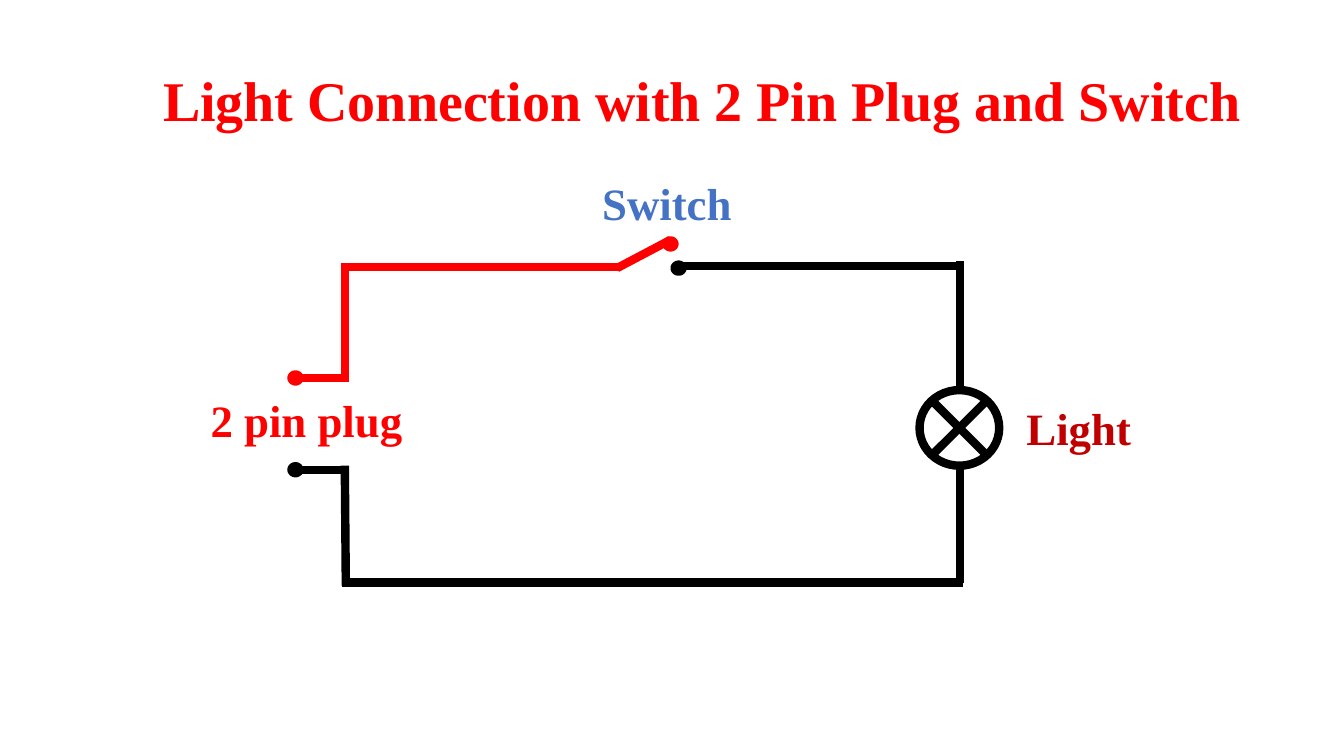
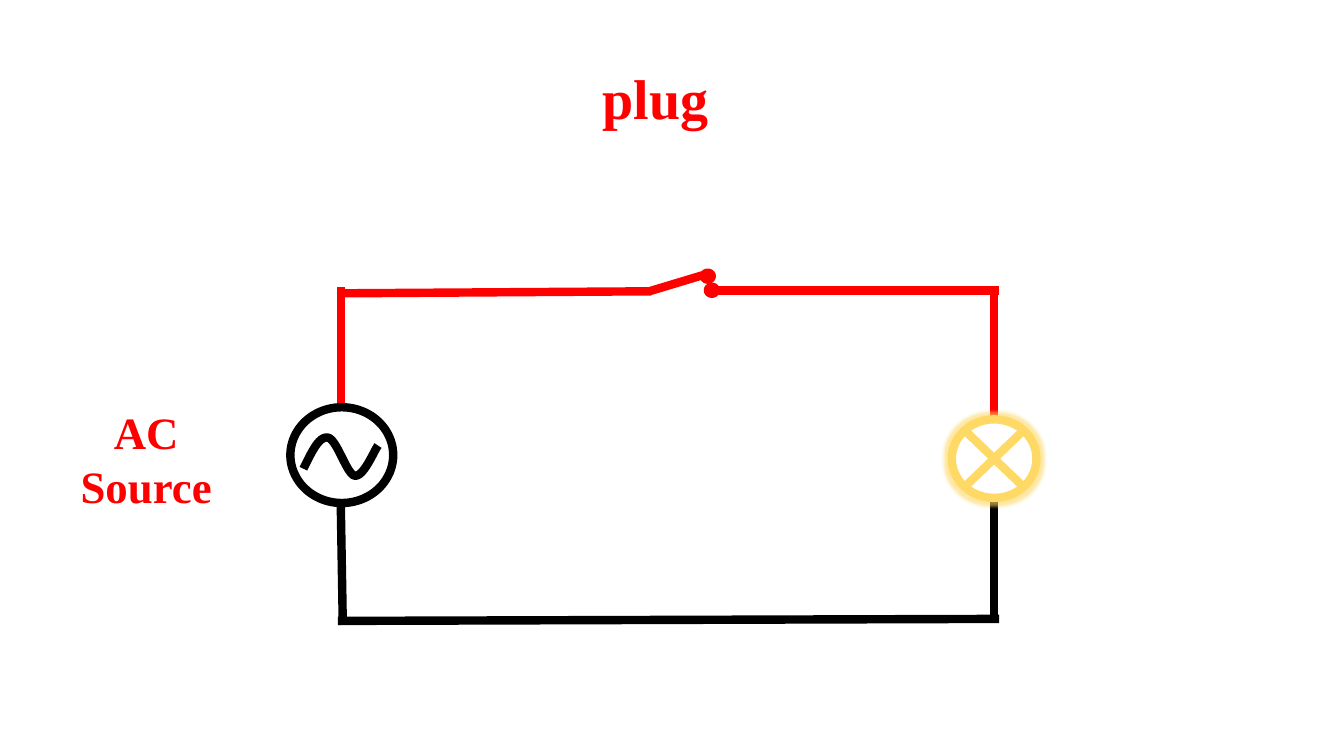
"""Builds two slides of simple light circuit diagrams."""
from lxml import etree
from pptx import Presentation
from pptx.dml.color import RGBColor
from pptx.enum.shapes import MSO_CONNECTOR, MSO_SHAPE
from pptx.enum.text import MSO_ANCHOR, MSO_AUTO_SIZE, PP_ALIGN
from pptx.oxml import parse_xml
from pptx.oxml.ns import nsdecls, qn
from pptx.util import Pt

LINE, OVAL = MSO_CONNECTOR.STRAIGHT, MSO_SHAPE.OVAL
TOP, MIDDLE = MSO_ANCHOR.TOP, MSO_ANCHOR.MIDDLE
FIXED, CENTER = MSO_AUTO_SIZE.NONE, PP_ALIGN.CENTER
PX = 9144
FONT = "Times New Roman"
RED, BLACK, WHITE, GOLD = "FF0000", "000000", "FFFFFF", "FFD966"
BLUE, DARK = "4472C4", "C00000"
DOT_W, DOT_H = 8, 7
CROSS_X, CROSS_Y = 15, 13

SLIDES = [
    {
        "title": ("Light Connection with 2 Pin Plug and Switch", 123, 68, 1146, 81, 0.9),
        "wires": [
            (RED, 342, 261, 342, 379), (RED, 339, 265, 616, 265),
            (BLACK, 342, 462, 343, 581), (BLACK, 339, 578, 955, 578),
            (BLACK, 952, 462, 952, 578), (BLACK, 952, 259, 952, 387),
            (RED, 294, 375, 345, 375), (BLACK, 294, 466, 345, 466),
            (RED, 612, 266, 665, 238), (BLACK, 673, 264, 954, 264),
        ],
        "dots": [(BLACK, 293, 466), (RED, 293, 375), (RED, 665, 242), (BLACK, 673, 266)],
        "lamp": (BLACK, 912, 387, 79, 75),
        "labels": [
            ("Light", DARK, 1005, 393, 130, 64),
            ("2 pin plug", RED, 198, 385, 212, 64),
            ("Switch", BLUE, 580, 169, 163, 64),
        ],
    },
    {
        "title": ("plug", 281, 58, 738, 77, 1.0),
        "wires": [
            (RED, 338, 285, 338, 400), (RED, 644, 289, 697, 273),
            (RED, 711, 288, 991, 288), (BLACK, 338, 501, 340, 620),
            (BLACK, 335, 616, 991, 614), (BLACK, 986, 494, 986, 617),
            (RED, 986, 285, 986, 416), (RED, 338, 291, 646, 289),
        ],
        "dots": [(RED, 702, 274), (RED, 706, 288)],
        "lamp": (GOLD, 944, 416, 84, 78),
        "labels": [("AC Source", RED, 61, 397, 168, 118)],
        "source": (BLACK, 288, 404, 102, 95),
        "wave": [
            (301, 465), (309, 449), (316, 433), (325, 434), (334, 435),
            (344, 471), (352, 472), (361, 473), (371, 447), (375, 442),
        ],
    },
]


def ink(part, tone, fill=None):
    """Sets outline and fill, and returns the empty effect list."""
    part.line.color.rgb = RGBColor.from_string(tone)
    part.line.width = Pt(6)
    if fill:
        part.fill.solid()
        part.fill.fore_color.rgb = RGBColor.from_string(fill)
    return etree.SubElement(part.element.spPr, qn("a:effectLst"))


def write(box, text, size, tone, anchor):
    """Fills a box with one centred bold paragraph."""
    frame = box.text_frame
    frame.word_wrap = True
    frame.auto_size = FIXED
    frame.vertical_anchor = anchor
    para = frame.paragraphs[0]
    para.text = text
    para.alignment = CENTER
    para.font.name = FONT
    para.font.size = Pt(size)
    para.font.bold = True
    para.font.color.rgb = RGBColor.from_string(tone)
    return para


deck = Presentation()
deck.slide_width, deck.slide_height = 1333 * PX, 750 * PX

for plan in SLIDES:
    slide = deck.slides.add_slide(deck.slide_layouts[5])
    shapes = slide.shapes

    text, *place, pitch = plan["title"]
    title = shapes.title
    title.left, title.top, title.width, title.height = [n * PX for n in place]
    write(title, text, 40, RED, TOP).line_spacing = pitch

    for tone, *ends in plan["wires"]:
        ink(shapes.add_connector(LINE, *[n * PX for n in ends]), tone)

    for tone, x, y in plan["dots"]:
        place = (x - DOT_W / 2, y - DOT_H / 2, DOT_W, DOT_H)
        ink(shapes.add_shape(OVAL, *[int(n * PX) for n in place]), tone, tone)

    tone, *place = plan["lamp"]
    glow = ink(shapes.add_shape(OVAL, *[n * PX for n in place]), tone, WHITE)
    if tone == GOLD:
        glow.append(parse_xml(
            f'<a:glow {nsdecls("a")} rad="63500"><a:srgbClr val="{GOLD}">'
            '<a:alpha val="60000"/></a:srgbClr></a:glow>'))
    x, y, w, h = place
    left, right = x + CROSS_X, x + w - CROSS_X
    high, low = y + CROSS_Y, y + h - CROSS_Y
    for start, end in ((high, low), (low, high)):
        ends = (left, start, right, end)
        ink(shapes.add_connector(LINE, *[n * PX for n in ends]), tone)

    if "source" in plan:
        tone, *place = plan["source"]
        ink(shapes.add_shape(OVAL, *[n * PX for n in place]), tone, WHITE)
        knots = plan["wave"]
        curve = []
        for i in range(0, len(knots) - 1, 3):
            a, b, c, d = knots[i:i + 4]
            for step in range(1, 13):
                t = step / 12
                u = 1 - t
                curve.append([
                    round((u**3 * a[k] + 3 * u * u * t * b[k]
                           + 3 * u * t * t * c[k] + t**3 * d[k]) * PX)
                    for k in (0, 1)])
        pen = shapes.build_freeform(*[n * PX for n in knots[0]])
        pen.add_line_segments(curve, close=False)
        wave = pen.convert_to_shape()
        wave.fill.background()
        ink(wave, tone)

    for text, tone, *place in plan["labels"]:
        write(shapes.add_textbox(*[n * PX for n in place]), text, 32, tone, TOP)

deck.save("out.pptx")
